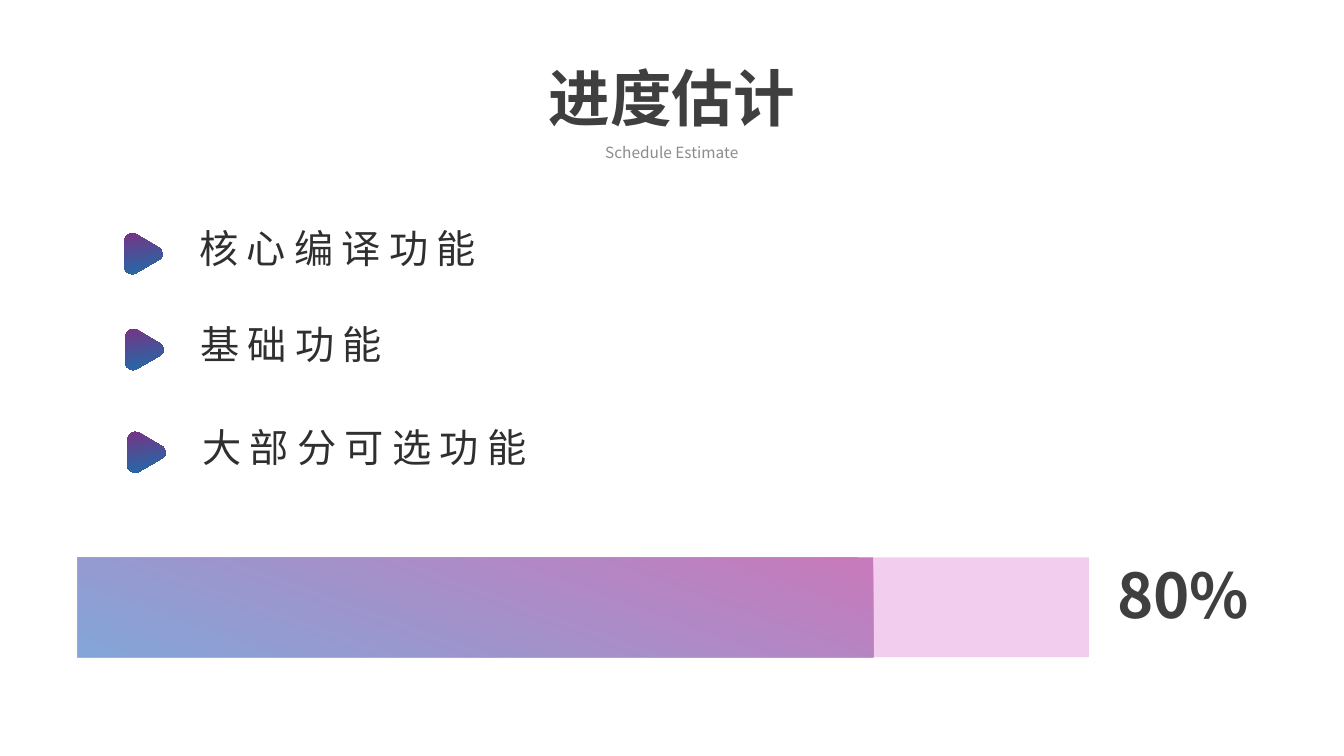
from collections import namedtuple
from dataclasses import dataclass

from lxml import etree
from pptx import Presentation
from pptx import util as u
from pptx.dml.color import RGBColor
from pptx.enum import shapes, text
from pptx.oxml import ns

Box = namedtuple("Box", "x y w h")


@dataclass(frozen=True)
class Theme:
    font: str = "Noto Sans CJK SC"
    heading: str = "3F3F3F"
    caption: str = "8C8C8C"
    body: str = "2F2F2F"
    track: str = "F3CDED"
    start: str = "9E278B"
    end: str = "1580C4"
    shadow: str = "000000"
    heading_size: int = 44
    caption_size: int = 11
    body_size: int = 28
    body_spacing: int = 6


THEME = Theme()
SLIDE = Box(0, 0, u.Pt(960), u.Pt(540))
CENTER = text.PP_ALIGN.CENTER
MIDDLE = text.MSO_ANCHOR.MIDDLE
HEADING = dict(size=u.Pt(THEME.heading_size), bold=True)
CAPTION = dict(size=u.Pt(THEME.caption_size), bold=False)
BODY = dict(size=u.Pt(THEME.body_size), bold=False)

ITEMS = [
    ("核心编译功能", (8.7, 29.73, 32.48, 8.53)),
    ("基础功能", (8.78, 42.4, 36.13, 8.53)),
    ("大部分可选功能", (8.93, 56, 36.13, 8.53)),
]
MARKER_HEIGHT = 0.37
MARKER_START = (0.41, 0.28)
MARKER_CURVES = [
    [(0.41, 0.28), (0.27, 0.03), (0.27, 0.03)],
    [(0.25, 0.01), (0.23, 0), (0.21, 0)],
    [(0.18, 0), (0.16, 0.01), (0.14, 0.03)],
    [(0.14, 0.03), (0, 0.28), (0, 0.28)],
    [(0, 0.29), (0, 0.32), (0.02, 0.34)],
    [(0.03, 0.36), (0.05, 0.37), (0.07, 0.37)],
    [(0.07, 0.37), (0.35, 0.37), (0.35, 0.37)],
    [(0.37, 0.37), (0.39, 0.36), (0.4, 0.34)],
    [(0.41, 0.32), (0.41, 0.3), MARKER_START],
]


def percent(box, x, y, w, h):
    return Box(*(int(v) for v in (
        box.x + box.w * x / 100, box.y + box.h * y / 100,
        box.w * w / 100, box.h * h / 100)))


def set_attrs(obj, values):
    for name, value in values.items():
        setattr(obj, name, value)


def write(sp, box, words, color, font, align=None, anchor=None, spacing=0):
    set_attrs(sp, dict(left=box.x, top=box.y, width=box.w, height=box.h))
    tf = sp.text_frame
    set_attrs(tf, dict(word_wrap=True, auto_size=text.MSO_AUTO_SIZE.NONE,
                       vertical_anchor=anchor))
    p = tf.paragraphs[0]
    set_attrs(p, dict(alignment=align, line_spacing=0.9, space_before=u.Pt(10)))
    r = p.add_run()
    r.text = words
    set_attrs(r.font, dict(name=THEME.font, **font))
    r.font.color.rgb = RGBColor.from_string(color)
    rpr = r._r.get_or_add_rPr()
    etree.SubElement(rpr, ns.qn("a:ea"), typeface=THEME.font)
    if spacing:
        rpr.set("spc", str(spacing * 100))


def add_text(slide, box, *args, **kwargs):
    write(slide.shapes.add_textbox(*box), box, *args, **kwargs)


def paint_gradient(sp, opacity):
    sp.fill.gradient()
    sp.fill.gradient_angle = 250
    for stop, color, position in zip(sp.fill.gradient_stops, (THEME.start, THEME.end), (0, 1)):
        stop.color.rgb = RGBColor.from_string(color)
        stop.position = position
    for color in sp._element.spPr.iter(ns.qn("a:srgbClr")):
        etree.SubElement(color, ns.qn("a:alpha"), val=str(opacity * 1000))


def clean(sp):
    sp.line.fill.background()
    sp.shadow.inherit = False
    return sp


def add_bar(slide, box):
    return clean(slide.shapes.add_shape(shapes.MSO_SHAPE.RECTANGLE, *box))


def bend_outline(sp, curves):
    lines = list(sp._element.spPr.iter(ns.qn("a:lnTo")))
    for line, curve in zip(lines, curves):
        bend = etree.Element(ns.qn("a:cubicBezTo"))
        for x, y in curve:
            etree.SubElement(bend, ns.qn("a:pt"), x=str(x), y=str(y))
        line.getparent().replace(line, bend)


def add_backing(sp):
    effects = sp._element.spPr.find(ns.qn("a:effectLst"))
    shadow = etree.SubElement(effects, ns.qn("a:outerShdw"), blurRad="0", dist="0", dir="0")
    etree.SubElement(shadow, ns.qn("a:srgbClr"), val=THEME.shadow)


def add_marker(slide, x, y, height):
    scale = height / MARKER_HEIGHT
    curves = [[(round(px * scale), round(py * scale)) for px, py in curve]
              for curve in MARKER_CURVES]
    ends = [curve[-1] for curve in curves]
    builder = slide.shapes.build_freeform(*ends[-1])
    builder.add_line_segments(ends, close=True)
    sp = clean(builder.convert_to_shape(round(x), round(y)))
    bend_outline(sp, curves)
    paint_gradient(sp, 85)
    add_backing(sp)
    sp.rotation = 330


def add_heading(slide, box):
    write(slide.shapes.title, percent(box, 0, 0, 100, 73.62), "进度估计",
          THEME.heading, HEADING, CENTER, MIDDLE)
    add_text(slide, percent(box, 13.67, 68.18, 72.66, 31.82), "Schedule Estimate",
             THEME.caption, CAPTION, CENTER, MIDDLE)


def add_item(slide, box, words):
    add_marker(slide, box.x, box.y + 0.11 * box.h, 0.58 * box.h)
    indent = int(1.12 * box.h)
    add_text(slide, Box(box.x + indent, box.y, box.w - indent, box.h), words,
             THEME.body, BODY, spacing=THEME.body_spacing)


def add_progress(slide, box):
    track = add_bar(slide, percent(box, 0, 0, 85.07, 100))
    track.fill.solid()
    track.fill.fore_color.rgb = RGBColor.from_string(THEME.track)
    paint_gradient(add_bar(slide, percent(box, 0, 0, 66.92, 100)), 50)
    add_text(slide, percent(box, 86.01, 0, 13.99, 81.82), "80%",
             THEME.heading, HEADING, CENTER, MIDDLE)


def main():
    prs = Presentation()
    set_attrs(prs, dict(slide_width=SLIDE.w, slide_height=SLIDE.h))
    slide = prs.slides.add_slide(prs.slide_layouts.get_by_name("Title Only"))
    add_heading(slide, percent(SLIDE, 23.1, 8, 53.78, 14.67))
    for words, place in ITEMS:
        add_item(slide, percent(SLIDE, *place), words)
    add_progress(slide, percent(SLIDE, 5.78, 73.73, 88.45, 13.2))
    prs.save("out.pptx")


if __name__ == "__main__":
    main()
